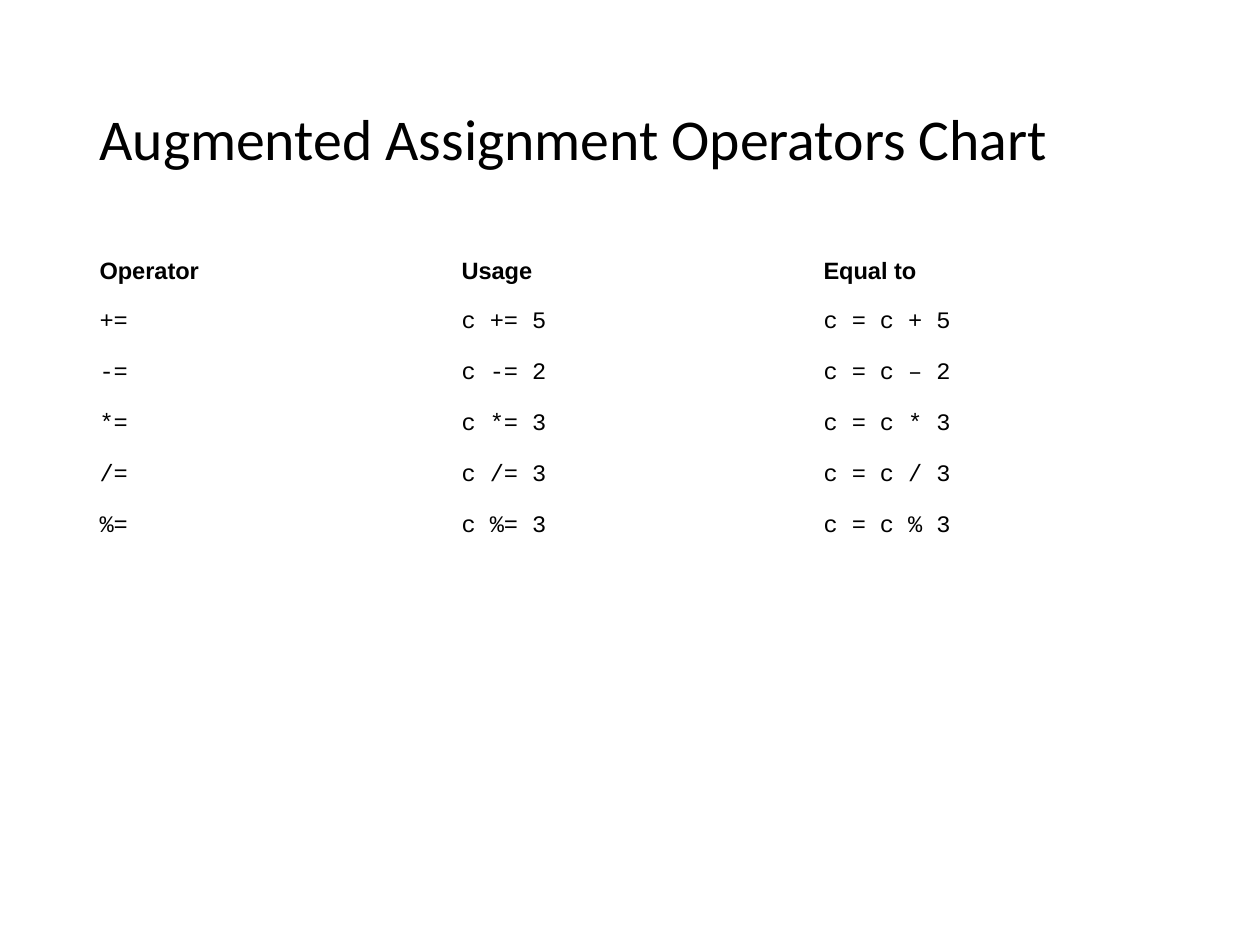
from dataclasses import dataclass
from pptx import Presentation
from pptx.dml.color import RGBColor as RGB
from pptx.enum.text import MSO_ANCHOR as Anchor
from pptx.util import Emu, Pt


@dataclass(frozen=True)
class Theme:
    ink: RGB = RGB(0, 0, 0)
    paper: RGB = RGB(255, 255, 255)
    title: float = 33
    body: float = 13.5
    sans: str = "Calibri"
    head: str = "Arial"
    code: str = "Courier New"


THEME = Theme()
HEADS = ("Operator", "Usage", "Equal to")
ROWS = (
    ("+=", "c += 5", "c = c + 5"),
    ("-=", "c -= 2", "c = c – 2"),
    ("*=", "c *= 3", "c = c * 3"),
    ("/=", "c /= 3", "c = c / 3"),
    ("%=", "c %= 3", "c = c % 3"),
)


def px(n):
    return Emu(round(n * 914400 / 126))


def write(frame, text, *, font, size, bold=False, space=None):
    para = frame.paragraphs[0]
    para.line_spacing = space
    run = para.add_run()
    run.text = text
    run.font.name = font
    run.font.size = Pt(size)
    run.font.bold = bold
    run.font.color.rgb = THEME.ink


def add_title(slide, box, text):
    shape = slide.shapes.add_textbox(*map(px, box))
    frame = shape.text_frame
    frame.word_wrap = True
    frame.vertical_anchor = Anchor.MIDDLE
    write(frame, text, font=THEME.sans, size=THEME.title, space=0.9)


def add_grid(slide, box, heads, rows):
    lines = (heads, *rows)
    # The default table style supplies the white cell borders
    table = slide.shapes.add_table(len(lines), len(heads), *map(px, box)).table
    for r, line in enumerate(lines):
        top = r == 0
        for c, text in enumerate(line):
            cell = table.cell(r, c)
            cell.fill.solid()
            cell.fill.fore_color.rgb = THEME.paper
            write(cell.text_frame, text, size=THEME.body, bold=top,
                  font=THEME.head if top else THEME.code)


def main():
    deck = Presentation()
    deck.slide_width, deck.slide_height = px(1260), px(945)
    slide = deck.slides.add_slide(deck.slide_layouts[6])
    # Heading
    add_title(slide, (87, 50, 1086, 183), "Augmented Assignment Operators Chart")
    # Operator table
    add_grid(slide, (87, 252, 1086, 306), HEADS, ROWS)
    deck.save("out.pptx")


if __name__ == "__main__":
    main()
